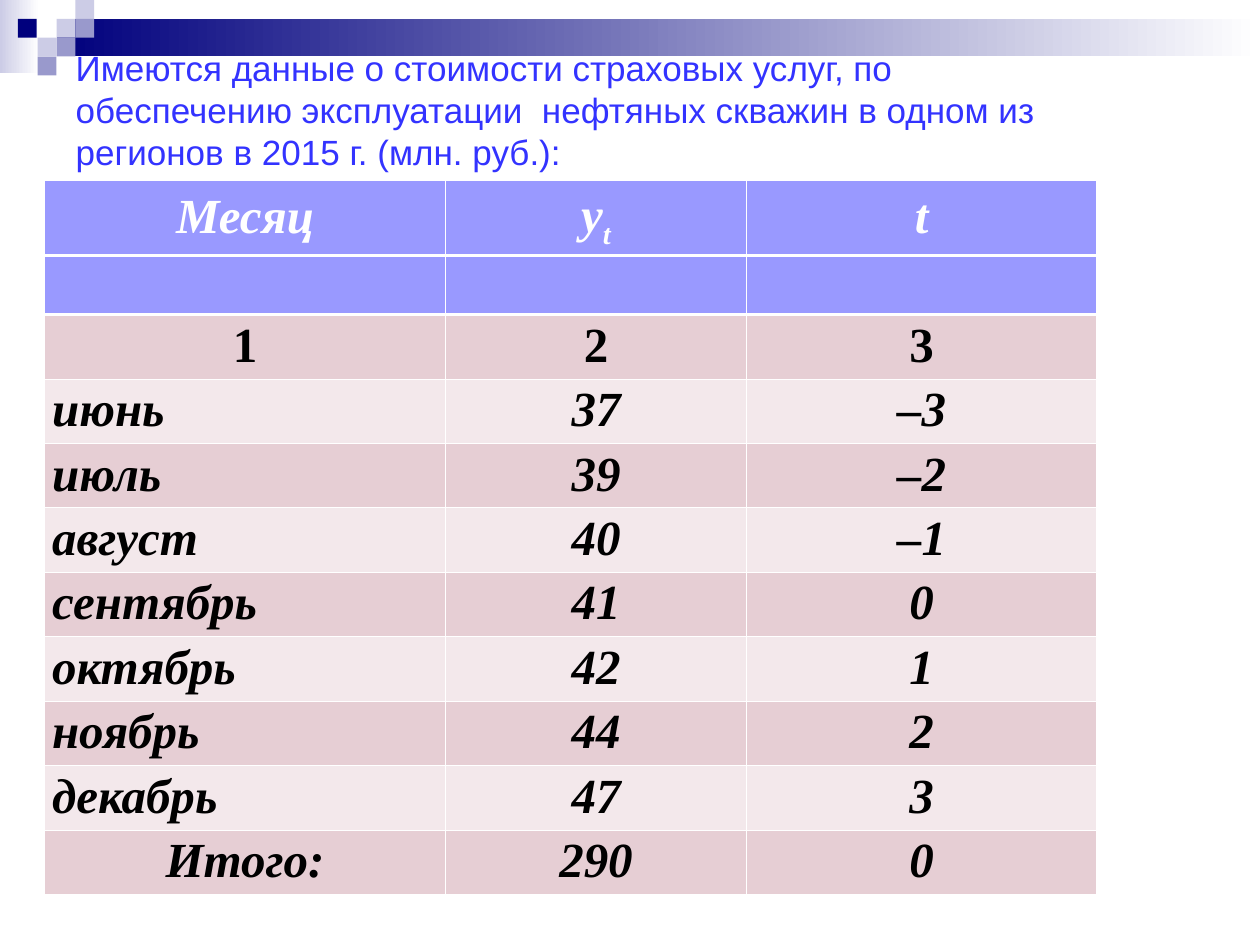
from pptx import Presentation
from pptx import util as u
from pptx.dml.color import RGBColor
from pptx.enum import shapes, text
from pptx.oxml import parse_xml
from pptx.oxml.ns import nsdecls

WHITE = RGBColor(0xFF, 0xFF, 0xFF)
BLACK = RGBColor(0x00, 0x00, 0x00)
NAVY = RGBColor(0x00, 0x00, 0x7D)
LAVENDER = RGBColor(0xCC, 0xCC, 0xE6)
VIOLET = RGBColor(0x99, 0x99, 0xCC)
TITLE_BLUE = RGBColor(0x33, 0x33, 0xFF)
HEADER_FILL = RGBColor(0x99, 0x99, 0xFF)
DARK_BAND = RGBColor(0xE6, 0xCE, 0xD4)
LIGHT_BAND = RGBColor(0xF3, 0xE8, 0xEB)

TITLE = ("Имеются данные о стоимости страховых услуг, по обеспечению эксплуатации  "
         "нефтяных скважин в одном из регионов в 2015 г. (млн. руб.):")
ROWS = [
    ("Месяц", "yt", "t"),
    ("", "", ""),
    ("1", "2", "3"),
    ("июнь", "37", "–3"),
    ("июль", "39", "–2"),
    ("август", "40", "–1"),
    ("сентябрь", "41", "0"),
    ("октябрь", "42", "1"),
    ("ноябрь", "44", "2"),
    ("декабрь", "47", "3"),
    ("Итого:", "290", "0"),
]
HEADER_ROWS = 2
NUMBER_ROW = 2
TOTAL_ROW = len(ROWS) - 1
COLUMN_WIDTHS = (8.08, 6.07, 7.06)
ROW_HEIGHTS = [1.52, 1.19] + [1.12] * 9

SQUARE = 0.38
SQUARES = [
    (1.14, 0.38, LAVENDER),
    (1.52, 0, LAVENDER),
    (1.52, 0.38, VIOLET),
    (0.76, 0.76, LAVENDER),
    (0.36, 0.38, NAVY),
    (1.14, 0.76, VIOLET),
    (0.76, 1.14, VIOLET),
]


def apply_format(target, values):
    """Set each named attribute on the target."""
    for name, value in values.items():
        setattr(target, name, value)


def add_block(slide, left, top, width, height, color, fade=False):
    """Add a borderless rectangle, plain or fading to white."""
    shape = slide.shapes.add_shape(shapes.MSO_SHAPE.RECTANGLE, u.Cm(left), u.Cm(top),
                                   u.Cm(width), u.Cm(height))
    shape.shadow.inherit = False
    shape.line.fill.background()
    if fade:
        shape.fill.gradient()
        shape.fill.gradient_angle = 0
        for stop, stop_color in zip(shape.fill.gradient_stops, (color, WHITE)):
            stop.color.rgb = stop_color
    else:
        shape.fill.solid()
        shape.fill.fore_color.rgb = color


def add_decoration(slide):
    """Add the fading bars and the checkered squares at the top."""
    add_block(slide, 0, 0, 0.79, 1.47, LAVENDER, fade=True)
    add_block(slide, 1.14, 0.38, 24.26, 0.76, NAVY, fade=True)
    for left, top, color in SQUARES:
        add_block(slide, left, top, SQUARE, SQUARE, color)


def set_title(slide):
    """Fill the title placeholder and bring it in front of the bars."""
    title = slide.shapes.title
    apply_format(title, {"left": u.Cm(1.27), "top": u.Cm(0.89),
                         "width": u.Cm(20.12), "height": u.Cm(2.64)})
    frame = title.text_frame
    apply_format(frame, {"text": TITLE, "word_wrap": True,
                         "auto_size": text.MSO_AUTO_SIZE.NONE,
                         "vertical_anchor": text.MSO_ANCHOR.MIDDLE})
    paragraph = frame.paragraphs[0]
    paragraph.alignment = text.PP_ALIGN.LEFT
    apply_format(paragraph.runs[0].font, {"name": "Arial", "size": u.Pt(20)})
    paragraph.runs[0].font.color.rgb = TITLE_BLUE
    slide.shapes._spTree.append(title._element)


def set_borders(cell, row):
    """Draw white cell borders, thicker around the second header row."""
    thick, thin = u.Pt(1.5), u.Pt(0.45)
    widths = {"lnL": thin, "lnR": thin,
              "lnT": thick if row in (1, 2) else thin,
              "lnB": thick if row in (0, 1) else thin}
    properties = cell._tc.get_or_add_tcPr()
    for tag, width in widths.items():
        properties.append(parse_xml(
            f'<a:{tag} {nsdecls("a")} w="{int(width)}"><a:solidFill>'
            f'<a:srgbClr val="{WHITE}"/></a:solidFill></a:{tag}>'))


def write_cell(cell, row, column, content):
    """Write the cell's runs, with the index of y as a subscript."""
    is_month = column == 0 and NUMBER_ROW < row < TOTAL_ROW
    is_header = row < HEADER_ROWS
    paragraph = cell.text_frame.paragraphs[0]
    apply_format(paragraph, {
        "line_spacing": 0.95,
        "alignment": text.PP_ALIGN.LEFT if is_month else text.PP_ALIGN.CENTER})
    if is_month:
        paragraph._p.get_or_add_pPr().set("marL", str(u.Cm(0.05)))
    for piece in content if content == "yt" else [content]:
        run = paragraph.add_run()
        run.text = piece
        apply_format(run.font, {"name": "Times New Roman", "size": u.Pt(28),
                                "bold": True, "italic": row != NUMBER_ROW})
        run.font.color.rgb = WHITE if is_header else BLACK
    if len(paragraph.runs) > 1:
        paragraph.runs[1]._r.get_or_add_rPr().set("baseline", "-25000")


def format_cell(cell, row):
    """Set the margins, borders and band colour of a cell."""
    anchor = text.MSO_ANCHOR.MIDDLE if row < HEADER_ROWS else text.MSO_ANCHOR.TOP
    apply_format(cell, {"margin_left": u.Cm(0.1), "margin_right": u.Cm(0.1),
                        "margin_top": u.Cm(0.13), "margin_bottom": u.Cm(0.13),
                        "vertical_anchor": anchor})
    set_borders(cell, row)
    cell.fill.solid()
    band = LIGHT_BAND if row % 2 else DARK_BAND
    cell.fill.fore_color.rgb = HEADER_FILL if row < HEADER_ROWS else band


def add_data_table(slide):
    """Add the table of monthly values."""
    frame = slide.shapes.add_table(len(ROWS), len(COLUMN_WIDTHS), u.Cm(0.9), u.Cm(3.63),
                                   u.Cm(sum(COLUMN_WIDTHS)), u.Cm(sum(ROW_HEIGHTS)))
    table = frame.table
    apply_format(table, {"first_row": False, "horz_banding": False})
    for column, width in zip(table.columns, COLUMN_WIDTHS):
        column.width = u.Cm(width)
    for row, (contents, height) in enumerate(zip(ROWS, ROW_HEIGHTS)):
        table.rows[row].height = u.Cm(height)
        for column, content in enumerate(contents):
            cell = table.cell(row, column)
            format_cell(cell, row)
            if content:
                write_cell(cell, row, column, content)


def main():
    """Build and save the slide."""
    presentation = Presentation()
    apply_format(presentation, {"slide_width": u.Cm(25.4), "slide_height": u.Cm(19.05)})
    slide = presentation.slides.add_slide(presentation.slide_layouts[5])
    add_decoration(slide)
    set_title(slide)
    add_data_table(slide)
    presentation.save("out.pptx")


if __name__ == "__main__":
    main()
